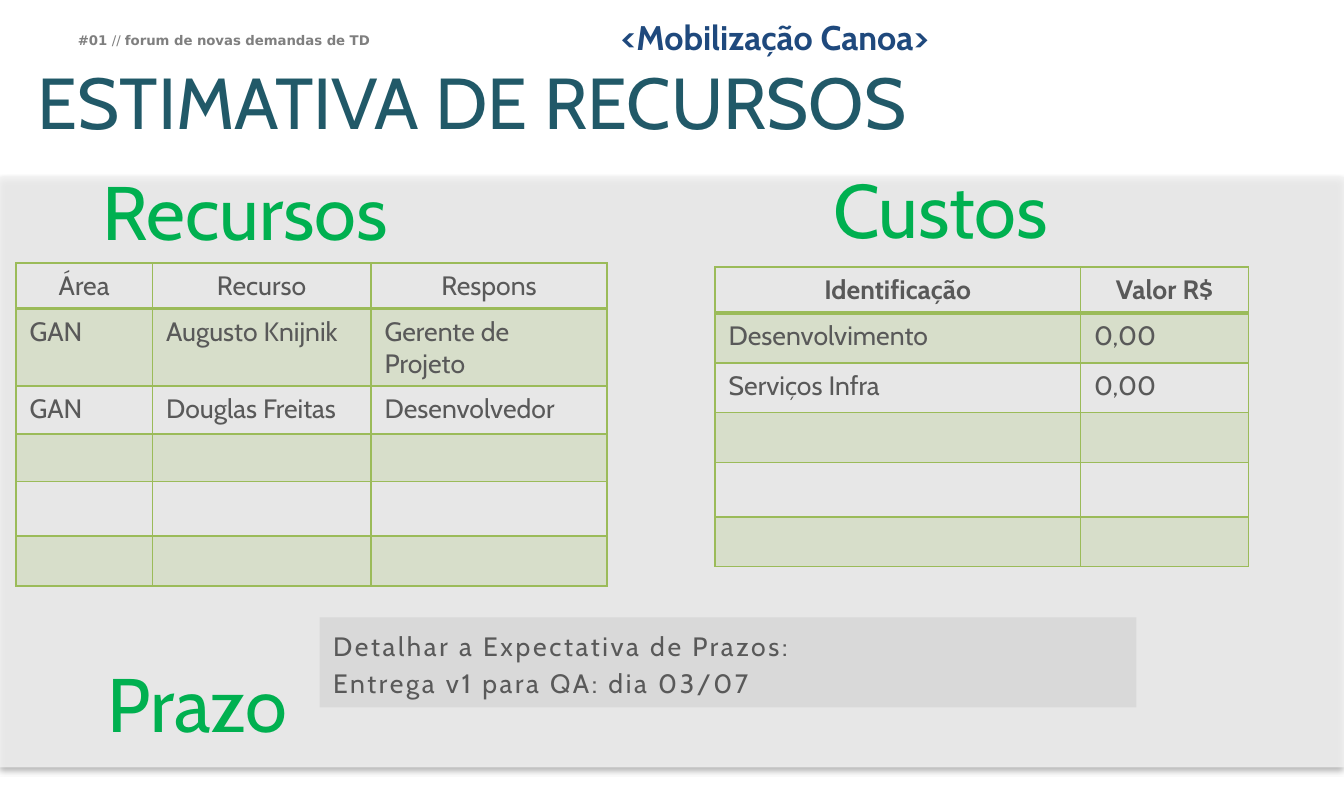
import pptx
import pptx.util
import pptx.dml.color
import pptx.enum.shapes
import pptx.enum.text
import pptx.oxml
import pptx.oxml.ns

Pt = pptx.util.Pt
RGB = pptx.dml.color.RGBColor.from_string
ALIGN = pptx.enum.text.PP_ALIGN
RECTANGLE = pptx.enum.shapes.MSO_SHAPE.RECTANGLE
NAMESPACE = pptx.oxml.ns.nsdecls("a")

COLORS = {
    "panel": "F2F2F2", "deadline": "D9D9D9", "tag": "7F7F7F", "title": "215968",
    "heading": "00B050", "body": "595959", "project": "1F497D", "grid": "9BBB59",
}

deck = pptx.Presentation()
deck.slide_width = pptx.util.Cm(25)
deck.slide_height = pptx.util.Cm(15)
page = deck.slides.add_slide(deck.slide_layouts[5])

# All lengths are counted on a grid of 100 columns by 100 rows
COLUMN = deck.slide_width / 100
ROW = deck.slide_height / 100


def grid(left, top, width, height):
    """Turn grid columns and rows into slide lengths."""
    return [int(left * COLUMN), int(top * ROW), int(width * COLUMN), int(height * ROW)]


def write(frame, text, size, color, font="Cabin", bold=False, align=ALIGN.LEFT, spacing=None):
    frame.text = text
    frame.vertical_anchor = pptx.enum.text.MSO_ANCHOR.TOP
    for para in frame.paragraphs:
        para.alignment = align
        para.line_spacing = spacing
        for span in para.runs:
            span.font.name = font
            span.font.size = Pt(size)
            span.font.bold = bold
            span.font.color.rgb = RGB(COLORS[color])


# Background panel with a soft shadow
panel = page.shapes.add_shape(RECTANGLE, *grid(0, 21.95, 100, 73.27))
panel.shadow.inherit = False
panel.fill.solid()
panel.fill.fore_color.rgb = RGB(COLORS["panel"])
panel.line.fill.background()
panel_color = panel.fill._xPr.find(".//" + pptx.oxml.ns.qn("a:srgbClr"))
panel_color.append(pptx.oxml.parse_xml(f'<a:alpha {NAMESPACE} val="83000"/>'))
panel._element.spPr.find(pptx.oxml.ns.qn("a:effectLst")).append(pptx.oxml.parse_xml(
    f'<a:outerShdw {NAMESPACE} blurRad="{Pt(3.1)}" dist="{Pt(1.8)}" dir="5400000" rotWithShape="0">'
    '<a:srgbClr val="000000"><a:alpha val="35000"/></a:srgbClr></a:outerShdw>'))

# Title and section headings
title = page.shapes.title
title.left, title.top, title.width, title.height = grid(2.8, 10.1, 66.46, 7.78)
headings = [
    ("Recursos", 7.6, 22.6, ALIGN.LEFT),
    ("Custos", 61.99, 22.34, ALIGN.LEFT),
    ("Prazo", 3.43, 83.59, ALIGN.CENTER),
]
write(title.text_frame, "ESTIMATIVA DE RECURSOS", 38, "title", spacing=0.7)
heading_frames = [title.text_frame]
for text, left, top, align in headings:
    box = page.shapes.add_textbox(*grid(left, top, 22.56, 9.31))
    write(box.text_frame, text, 40, "heading", align=align, spacing=0.8)
    heading_frames.append(box.text_frame)
for frame in heading_frames:
    frame.word_wrap = True
    frame.auto_size = pptx.enum.text.MSO_AUTO_SIZE.NONE
    frame.margin_left = frame.margin_right = frame.margin_top = frame.margin_bottom = 0

# Top line: forum tag and project name
tag = page.shapes.add_textbox(*grid(4.88, 3.3, 23.98, 3.55))
tag.text_frame.word_wrap = False
tag.text_frame.margin_left = tag.text_frame.margin_right = Pt(6.5)
tag.text_frame.margin_top = tag.text_frame.margin_bottom = Pt(3)
write(tag.text_frame, "#01 ", 7, "tag", font="DejaVu Sans", bold=True)
for text, bold in [("// ", False), ("forum de novas demandas de TD", True)]:
    span = tag.text_frame.paragraphs[0].add_run()
    span.text = text
    span.font.name = "DejaVu Sans"
    span.font.size = Pt(7)
    span.font.bold = bold
    span.font.color.rgb = RGB(COLORS["tag"])

project = page.shapes.add_textbox(*grid(45.22, 2.03, 31, 6.09))
project.text_frame.word_wrap = False
write(project.text_frame, "<Mobilização Canoa>", 18, "project", bold=True, spacing=0.85)

# Tables: left, top, column widths, row heights, bold header, entries
tables = [
    (1.18, 32.66, [10.16, 16.26, 17.58], [5.58, 9.48, 5.92, 5.92, 6.75, 6.18], False,
     [["Área", "Recurso", "Respons"],
      ["GAN", "Augusto Knijnik", "Gerente de Projeto"],
      ["GAN", "Douglas Freitas", "Desenvolvedor"]]),
    (53.2, 33.16, [27.2, 12.5], [5.68, 6.18, 6.18, 6.18, 6.75, 6.18], True,
     [["Identificação", "Valor R$"],
      ["Desenvolvimento", "0,00"],
      ["Serviços Infra", "0,00"]]),
]
for left, top, widths, heights, bold_header, entries in tables:
    table = page.shapes.add_table(
        len(heights), len(widths), *grid(left, top, sum(widths), sum(heights))).table
    for column, width in zip(table.columns, widths):
        column.width = int(width * COLUMN)
    for r, height in enumerate(heights):
        table.rows[r].height = int(height * ROW)
        for c in range(len(widths)):
            cell = table.cell(r, c)
            if r < len(entries):
                write(cell.text_frame, entries[r][c], 14, "body", bold=bold_header and r == 0,
                      align=ALIGN.LEFT if r else ALIGN.CENTER)
            else:
                cell.text_frame.paragraphs[0]._p.append(
                    pptx.oxml.parse_xml(f'<a:endParaRPr {NAMESPACE} sz="1400"/>'))
            properties = cell._tc.get_or_add_tcPr()
            if r % 2:
                cell.fill.solid()
                cell.fill.fore_color.rgb = RGB(COLORS["grid"])
                properties.find(".//" + pptx.oxml.ns.qn("a:srgbClr")).append(
                    pptx.oxml.parse_xml(f'<a:alpha {NAMESPACE} val="20000"/>'))
            else:
                cell.fill.background()
            for position, side in enumerate("LRTB"):
                under_header = (r, side) in [(0, "B"), (1, "T")]
                properties.insert(position, pptx.oxml.parse_xml(
                    f'<a:ln{side} {NAMESPACE} w="{Pt(2 if under_header else 1)}"><a:solidFill>'
                    f'<a:srgbClr val="{COLORS["grid"]}"/></a:solidFill></a:ln{side}>'))

# Deadline note
deadline = page.shapes.add_shape(RECTANGLE, *grid(23.78, 76.6, 60.77, 11.17))
deadline.shadow.inherit = False
deadline.fill.solid()
deadline.fill.fore_color.rgb = RGB(COLORS["deadline"])
deadline.line.fill.background()
deadline.text_frame.word_wrap = True
write(deadline.text_frame, "Detalhar a Expectativa de Prazos:\vEntrega v1 para QA: dia 03/07",
      14, "body", spacing=Pt(19.8))
for span in deadline.text_frame.paragraphs[0].runs:
    span.font._element.set("spc", "140")

deck.save("out.pptx")
